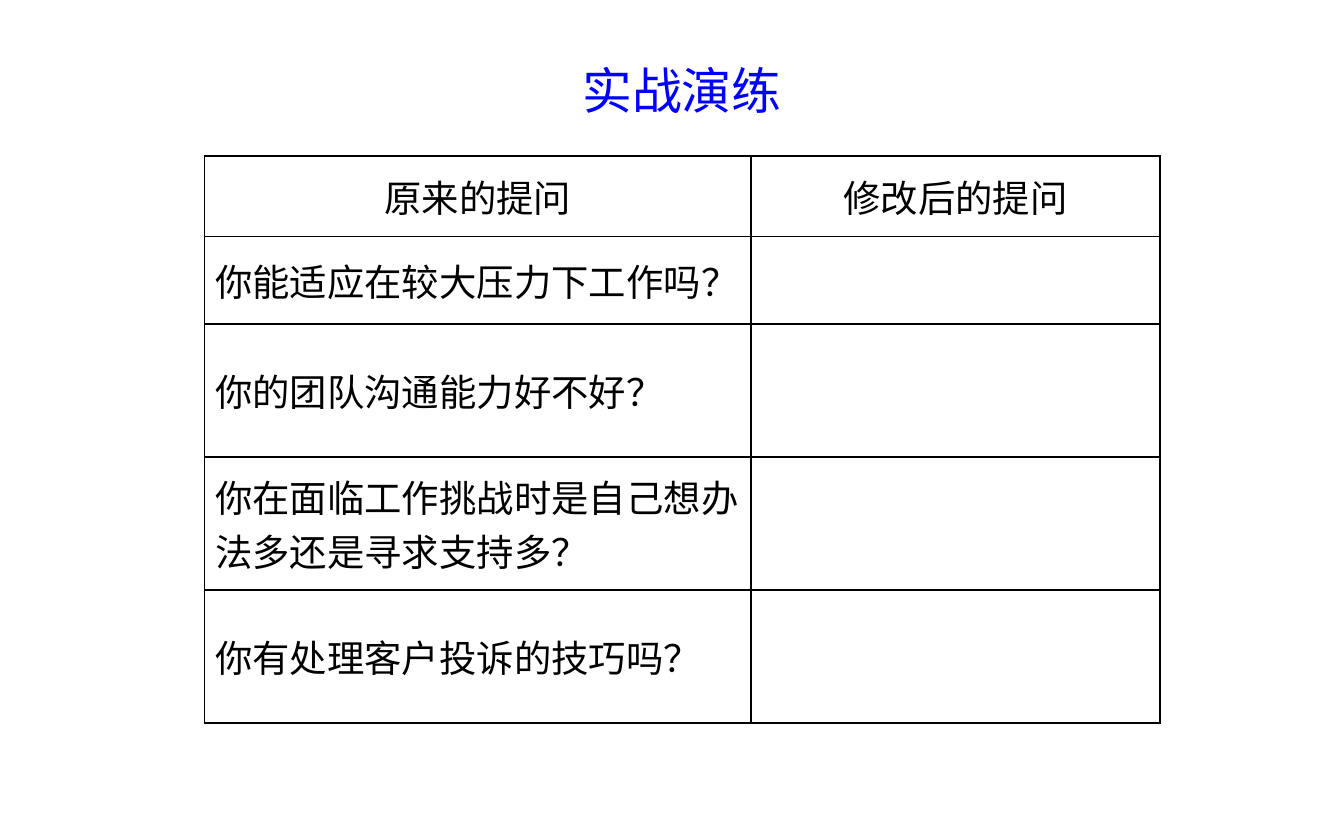
from dataclasses import dataclass

from lxml import etree
from pptx import Presentation
from pptx import util as u
from pptx.dml.color import RGBColor
from pptx.enum import lang, text
from pptx.oxml.ns import qn

EMU_PER_PX = 9144  # 100 px to the inch


@dataclass(frozen=True)
class Theme:
    ink: str = "000000"
    title_color: str = "0000FF"
    background: str = "FFFFFF"
    latin_font: str = "Times New Roman"
    chinese_font: str = "Noto Sans CJK JP"
    title_size: float = 26.7
    body_size: float = 20
    border_width: float = 1


THEME = Theme()
COLUMN_WIDTHS = [407, 304]
ROW_HEIGHTS = [60, 65, 99, 99, 99]
HEADINGS = ["原来的提问", "修改后的提问"]
QUESTIONS = [
    "你能适应在较大压力下工作吗？",
    "你的团队沟通能力好不好？",
    "你在面临工作挑战时是自己想办法多还是寻求支持多？",
    "你有处理客户投诉的技巧吗？",
]


def px(length):
    return u.Emu(length * EMU_PER_PX)


def set_margins(box):
    box.margin_left = box.margin_right = px(8)
    box.margin_top = box.margin_bottom = px(4)
    box.vertical_anchor = text.MSO_ANCHOR.MIDDLE


def write_text(frame, content, *, size=THEME.body_size, color=THEME.ink,
               font=THEME.latin_font, align=text.PP_ALIGN.LEFT):
    frame.word_wrap = True
    paragraph = frame.paragraphs[0]
    paragraph.alignment = align
    run = paragraph.add_run()
    run.text = content
    run.font.size = u.Pt(size)
    run.font.name = font
    run.font.color.rgb = RGBColor.from_string(color)
    run.font.language_id = lang.MSO_LANGUAGE_ID.SIMPLIFIED_CHINESE
    east_asian = etree.Element(qn("a:ea"), typeface=THEME.chinese_font)
    run.font._element.find(qn("a:latin")).addnext(east_asian)


def add_title(slide, content, left, top, width, height):
    box = slide.shapes.add_textbox(px(left), px(top), px(width), px(height))
    set_margins(box.text_frame)
    write_text(box.text_frame, content, size=THEME.title_size,
               color=THEME.title_color, font=THEME.chinese_font,
               align=text.PP_ALIGN.CENTER)


def style_cell(cell):
    """Give the cell a plain fill and a border on all four sides."""
    set_margins(cell)
    properties = cell._tc.get_or_add_tcPr()
    for side in ("a:lnL", "a:lnR", "a:lnT", "a:lnB"):
        line = etree.SubElement(properties, qn(side),
                                w=str(u.Pt(THEME.border_width)))
        fill = etree.SubElement(line, qn("a:solidFill"))
        etree.SubElement(fill, qn("a:srgbClr"), val=THEME.ink)
    cell.fill.background()


def add_question_table(slide, left, top):
    frame = slide.shapes.add_table(
        len(ROW_HEIGHTS), len(COLUMN_WIDTHS), px(left), px(top),
        px(sum(COLUMN_WIDTHS)), px(sum(ROW_HEIGHTS)))
    table = frame.table
    table.horz_banding = False
    table.first_row = False
    for column, width in zip(table.columns, COLUMN_WIDTHS):
        column.width = px(width)
    for row, height in zip(table.rows, ROW_HEIGHTS):
        row.height = px(height)
    for cell in table.iter_cells():
        style_cell(cell)
    for column, heading in enumerate(HEADINGS):
        write_text(table.cell(0, column).text_frame, heading,
                   align=text.PP_ALIGN.CENTER)
    for row, question in enumerate(QUESTIONS, start=1):
        write_text(table.cell(row, 0).text_frame, question)


def main():
    presentation = Presentation()
    presentation.slide_width = px(1000)
    presentation.slide_height = px(625)
    slide = presentation.slides.add_slide(presentation.slide_layouts[6])
    background = slide.background.fill
    background.solid()
    background.fore_color.rgb = RGBColor.from_string(THEME.background)
    add_question_table(slide, 152, 116)
    add_title(slide, "实战演练", 304, 37, 407, 60)
    presentation.save("out.pptx")


if __name__ == "__main__":
    main()
